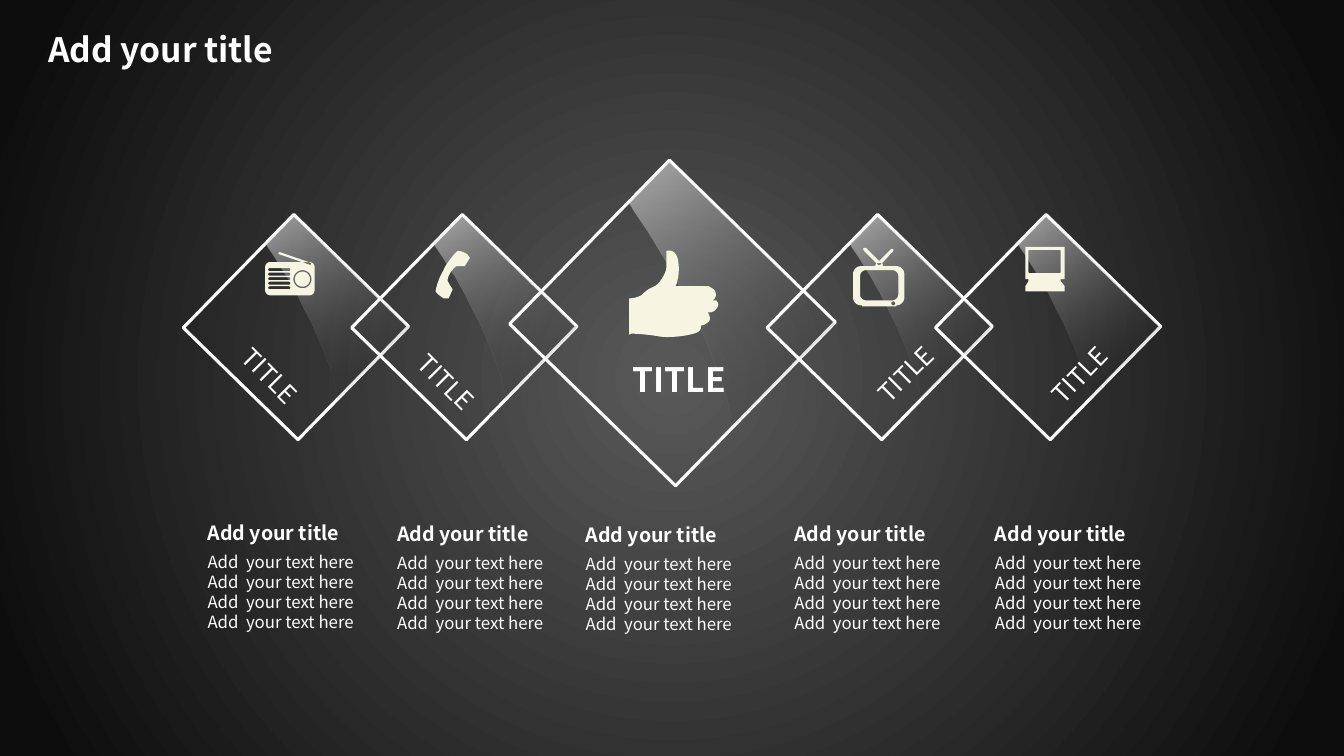
import math

from lxml import etree
from pptx import Presentation
from pptx import util as u
from pptx.dml.color import RGBColor
from pptx.enum import shapes, text
from pptx.oxml.ns import nsdecls, qn

CELL = u.Inches(0.01)
COLUMNS, ROWS = 1333, 750
FONT = "Noto Sans CJK SC"
COLORS = {"white": "FFFFFF", "cream": "F5F5E2", "black": "000000",
          "centre": "595959", "edge": "0D0D0D"}
CIRCLE = ('<a:path path="circle"><a:fillToRect l="50000" t="50000" '
          'r="50000" b="50000"/></a:path>')
UPWARD = '<a:lin ang="14400000" scaled="0"/>'

GLOSS = [(-1.6, -70), (70, 0), (25.5, 45), (25.5, 43.7),
         (25.5, 33.6, 16.7, 10.4, 3.5, -14.8), (-4, -30, -13, -43, -19, -52)]
PHONE = [(13, 47), (12, 47, 10, 47, 8, 47), (5, 45, 2, 43, 0, 40),
         (1, 35, 3, 27, 8, 19), (9, 16, 11, 13, 14, 9), (17, 5, 20, 1, 22, 0),
         (25, 0, 28, 1, 31, 3), (32, 4, 33, 5, 34, 7), (29, 15), (21, 15),
         (19, 16, 18, 17, 17, 19), (16, 19, 15, 21, 14, 23),
         (12, 26, 12, 29, 12, 30), (13, 31, 14, 34, 17, 38)]
THUMB = [(86, 52), (83, 52), (85, 50, 86, 49, 86, 46), (86, 41, 82, 40, 79, 38),
         (46, 38), (48, 34, 51, 22, 48, 10), (45, 0, 37, 3, 37, 3),
         (37, 3, 37, 12, 37, 19), (37, 25, 29, 37, 25, 38),
         (21, 40, 18, 41, 12, 47), (8, 49, 4, 50, 0, 50), (0, 86), (2, 85),
         (7, 85, 21, 86, 31, 88), (39, 89, 54, 88, 64, 85),
         (73, 83, 71, 77, 71, 77), (71, 77, 75, 77, 79, 73),
         (82, 70, 78, 64, 78, 64), (81, 64, 82, 64, 85, 62),
         (92, 56, 86, 52, 86, 52)]
RADIO_AERIAL = [(13, -8), (45, 3), (46, 1), (14, -10)]
TV_AERIAL = [(11, -12), (10, -14), (11, -15), (13, -15), (26, -2), (38, -14),
             (40, -14), (40, -12), (29, 0), (23, 0)]
TV_NECK = [(22, 3), (23, 0), (25, 2), (27, 2), (29, 0), (30, 3)]
TV_FOOT = [(9, 42), (43, 42), (43, 43), (9, 43)]
COMPUTER = [(39, 44), (0, 44), (0, 39), (3, 34), (3, 32), (0, 32), (0, 0),
            (39, 0), (39, 32), (35, 32), (35, 34), (39, 39)]


def flatten(outline, steps=8):
    """Turn line points and six-number Bézier curves into plain points."""
    points = []
    for part in outline:
        if len(part) == 2:
            points.append(part)
            continue
        controls = [points[-1], part[:2], part[2:4], part[4:]]
        for step in range(1, steps + 1):
            t = step / steps
            weights = [(1 - t) ** 3, 3 * t * (1 - t) ** 2, 3 * t * t * (1 - t), t ** 3]
            points.append(tuple(sum(w * c[axis] for w, c in zip(weights, controls))
                                for axis in (0, 1)))
    return points


def rounded(left, top, width, height, radius):
    """Return the outline of a rounded rectangle."""
    points = []
    for step in range(32):
        angle = math.tau * (step + 0.5) / 32
        cosine, sine = math.cos(angle), math.sin(angle)
        x = left + (width - radius if cosine > 0 else radius)
        y = top + (height - radius if sine > 0 else radius)
        points.append((x + radius * cosine, y + radius * sine))
    return points


def disc(x, y, radius):
    """Return the outline of a circle."""
    return rounded(x - radius, y - radius, 2 * radius, 2 * radius, radius)


ICONS = {
    "radio": [rounded(0, 0, 49, 33, 5), disc(37, 17, 9), disc(37, 17, 7.5), RADIO_AERIAL]
             + [rounded(3, 6 + 4.5 * row, 22, 3, 1.5) for row in range(5)],
    "phone": [PHONE],
    "thumb": [THUMB],
    "television": [rounded(0, 3, 51, 39, 8), rounded(7, 7, 38, 30, 6),
                   disc(40, 40, 2), TV_AERIAL, TV_NECK, TV_FOOT],
    "computer": [COMPUTER, rounded(3, 3, 32, 23, 1)],
}


def add_gradient(element, stops, direction):
    """Replace the first solid fill in an element by a gradient."""
    marks = "".join(
        f'<a:gs pos="{place * 1000}"><a:srgbClr val="{COLORS[color]}">'
        f'<a:alpha val="{alpha * 1000}"/></a:srgbClr></a:gs>'
        for place, color, alpha in stops)
    gradient = etree.fromstring(f'<a:gradFill {nsdecls("a")} rotWithShape="1"><a:gsLst>'
                                f'{marks}</a:gsLst>{direction}</a:gradFill>')
    solid = element.find(".//" + qn("a:solidFill"))
    solid.getparent().replace(solid, gradient)


def add_outline(slide, outlines, left, top, scale=1, color="cream"):
    """Draw outlines as one filled shape, its origin at the given cell."""
    contours = [[(round((left + x * scale) * CELL), round((top + y * scale) * CELL))
                 for x, y in flatten(outline)] for outline in outlines]
    builder = slide.shapes.build_freeform(*contours[0][0])
    for number, contour in enumerate(contours):
        if number:
            builder.move_to(*contour[0])
        builder.add_line_segments(contour[1:], close=True)
    shape = builder.convert_to_shape()
    shape.shadow.inherit = False
    shape.fill.solid()
    shape.fill.fore_color.rgb = RGBColor.from_string(COLORS[color])
    shape.line.fill.background()
    return shape


def add_text(slide, words, box, size=12, bold=False, centred=False, rotation=0):
    """Place text, one paragraph a line, in a box of cells."""
    shape = slide.shapes.add_textbox(*(round(n * CELL) for n in box))
    shape.rotation = rotation
    frame = shape.text_frame
    frame.word_wrap = True
    frame.auto_size = text.MSO_AUTO_SIZE.SHAPE_TO_FIT_TEXT
    frame.text = words
    for paragraph in frame.paragraphs:
        paragraph.alignment = text.PP_ALIGN.CENTER if centred else text.PP_ALIGN.LEFT
        font = paragraph.runs[0].font
        font.name, font.size, font.bold = FONT, u.Pt(size), bold
        font.color.rgb = RGBColor.from_string(COLORS["white"])
        properties = paragraph.runs[0]._r.get_or_add_rPr()
        etree.SubElement(properties, qn("a:ea")).set("typeface", FONT)


def add_diamond(slide, box, icon, icon_at, label_box, **label_format):
    """Draw a glossy diamond with an icon and a label placed from its box."""
    left, top, width, height = box
    frame = slide.shapes.add_shape(shapes.MSO_SHAPE.RECTANGLE, *(n * CELL for n in box))
    frame.rotation = 44.3
    frame.shadow.inherit = False
    frame.fill.background()
    frame.line.color.rgb = RGBColor.from_string(COLORS["white"])
    frame.line.width = u.Pt(2.25)
    gloss = add_outline(slide, [GLOSS], left + width / 2, top + height / 2,
                        width / 100, "white")
    add_gradient(gloss._element, [(0, "black", 0), (100, "white", 58)], UPWARD)
    add_outline(slide, ICONS[icon], left + icon_at[0], top + icon_at[1])
    x, y, *size = label_box
    add_text(slide, "TITLE", (left + x, top + y, *size), **label_format)


def add_caption(slide, left, top, width=182):
    """Write a heading and four lines of text under a diamond."""
    add_text(slide, "Add your title", (left, top, width, 34), size=14, bold=True)
    add_text(slide, "\n".join(["Add  your text here"] * 4), (left, top + 30, width, 91))


def main():
    """Build and save the slide."""
    presentation = Presentation()
    presentation.slide_width, presentation.slide_height = COLUMNS * CELL, ROWS * CELL
    slide = presentation.slides.add_slide(presentation.slide_layouts[6])
    slide.background.fill.solid()
    add_gradient(slide._element, [(0, "centre", 100), (94, "edge", 100)], CIRCLE)
    add_text(slide, "Add your title", (38, 24, 306, 50), size=24, bold=True)
    small = (159, 157)
    add_diamond(slide, (214, 246, *small), "radio", (49, 14), (4, 124, 134, 40),
                size=18, rotation=45.3)
    add_diamond(slide, (381, 246, *small), "phone", (51, 3), (14, 125, 119, 40),
                size=18, rotation=45.3)
    add_diamond(slide, (552, 207, 230, 227), "thumb", (72, 39), (39, 144, 165, 50),
                size=24, bold=True, centred=True)
    add_diamond(slide, (793, 246, *small), "television", (53, 15), (51, 77, 165, 40),
                size=18, rotation=315.2)
    add_diamond(slide, (960, 246, *small), "computer", (57, -1), (62, 92, 123, 40),
                size=18, rotation=313.9)
    for left, top in [(196, 512), (384, 513), (571, 514), (778, 513), (977, 513)]:
        add_caption(slide, left, top)
    presentation.save("out.pptx")


if __name__ == "__main__":
    main()
